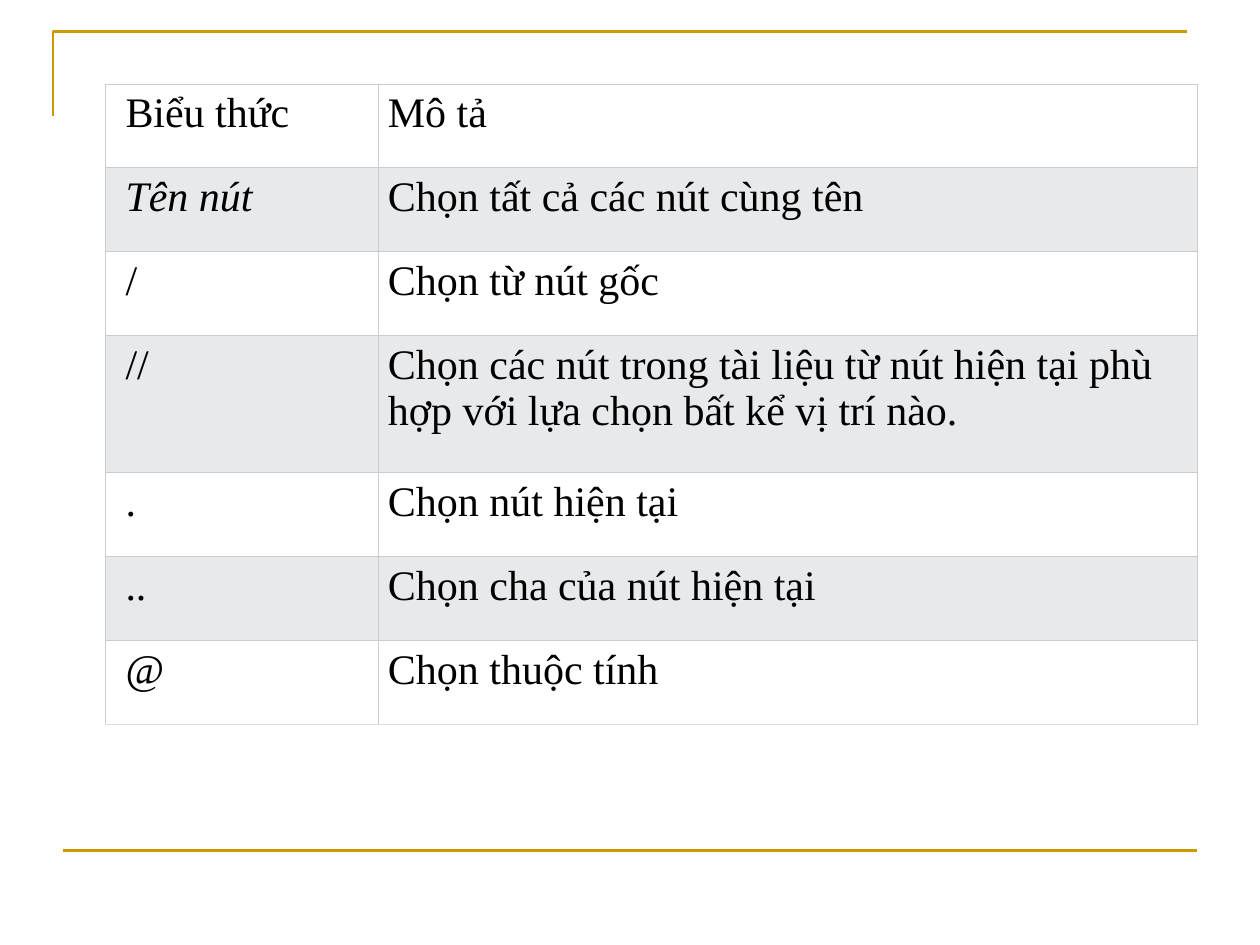
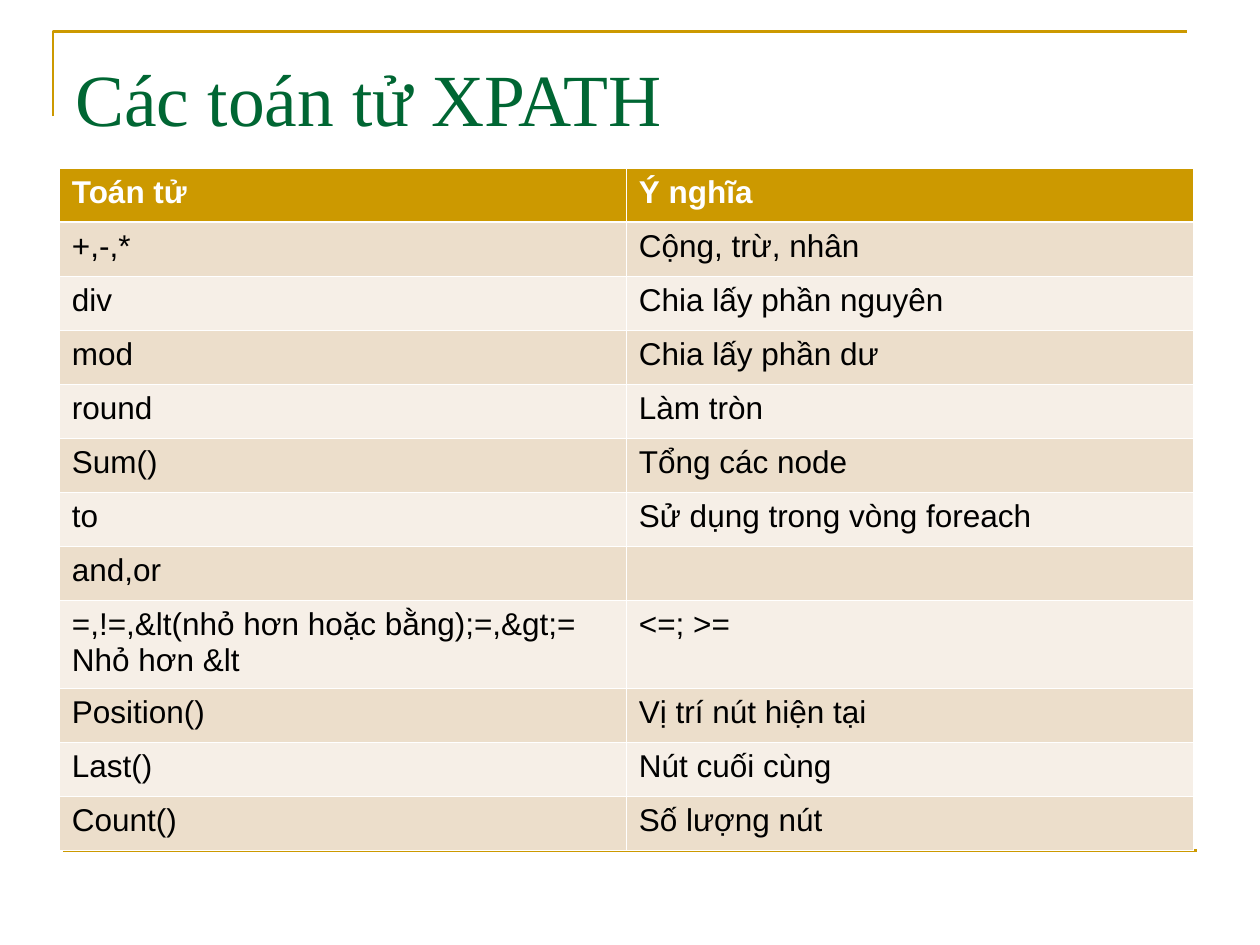
from lxml import etree
from pptx import Presentation
from pptx.dml.color import RGBColor
from pptx.enum.shapes import MSO_CONNECTOR
from pptx.enum.text import MSO_ANCHOR
from pptx.oxml.ns import qn
from pptx.util import Cm, Pt

STRAIGHT = MSO_CONNECTOR.STRAIGHT
BOTTOM = MSO_ANCHOR.BOTTOM
BLANK = 6
SERIF = "Times New Roman"
SANS = "Arial"

COLORS = {
    "gold": "CC9900",
    "green": "006633",
    "black": "000000",
    "white": "FFFFFF",
    "grey": "E7E9EB",
    "rule": "CCCCCC",
    "edge": "DDDDDD",
    "sand": "ECDECB",
    "cream": "F6EFE7",
}

PATHS = [
    ("Biểu thức", "Mô tả"),
    ("Tên nút", "Chọn tất cả các nút cùng tên"),
    ("/", "Chọn từ nút gốc"),
    ("//", "Chọn các nút trong tài liệu từ nút hiện tại phù hợp với lựa chọn bất kể vị trí nào."),
    (".", "Chọn nút hiện tại"),
    ("..", "Chọn cha của nút hiện tại"),
    ("@", "Chọn thuộc tính"),
]

SIGNS = [
    ("Toán tử", "Ý nghĩa"),
    ("+,-,*", "Cộng, trừ, nhân"),
    ("div", "Chia lấy phần nguyên"),
    ("mod", "Chia lấy phần dư"),
    ("round", "Làm tròn"),
    ("Sum()", "Tổng các node"),
    ("to", "Sử dụng trong vòng foreach"),
    ("and,or", ""),
    ("=,!=,&lt(nhỏ hơn hoặc bằng);=,&gt;=\nNhỏ hơn &lt", "<=; >="),
    ("Position()", "Vị trí nút hiện tại"),
    ("Last()", "Nút cuối cùng"),
    ("Count()", "Số lượng nút"),
]


def rgb(name):
    return RGBColor.from_string(COLORS[name])


def style(frame, font, size, color, bold=False, italic=False):
    for para in frame.paragraphs:
        for run in para.runs:
            run.font.name = font
            run.font.size = Pt(size)
            run.font.color.rgb = rgb(color)
            run.font.bold = bold
            run.font.italic = italic


def ink(line):
    line.color.rgb = rgb("gold")
    line.width = Pt(1.5)


def add_frame(slide):
    pen = slide.shapes.build_freeform(Cm(1.07), Cm(2.34))
    pen.add_line_segments([(Cm(1.07), Cm(0.64)), (Cm(23.93), Cm(0.64))], close=False)
    angle = pen.convert_to_shape()
    angle.fill.background()
    angle.shadow.inherit = False
    ink(angle.line)
    foot = slide.shapes.add_connector(STRAIGHT, Cm(1.27), Cm(17.15), Cm(24.13), Cm(17.15))
    etree.SubElement(foot._element.spPr, qn("a:effectLst"))
    ink(foot.line)


def add_title(slide, text):
    box = slide.shapes.add_textbox(Cm(1.27), Cm(0.84), Cm(22.86), Cm(2))
    frame = box.text_frame
    frame.word_wrap = True
    frame.vertical_anchor = BOTTOM
    frame.margin_bottom = 0
    frame.text = text
    style(frame, SERIF, 42, "green")


def set_edge(cell, side, color, width):
    props = cell._tc.get_or_add_tcPr()
    line = etree.SubElement(props, qn(f"a:ln{side}"), w=str(Pt(width)))
    fill = etree.SubElement(line, qn("a:solidFill"))
    etree.SubElement(fill, qn("a:srgbClr"), val=COLORS[color])


def set_cell(cell, text, fill, edges, pads):
    for side, (color, width) in edges.items():
        set_edge(cell, side, color, width)
    cell.fill.solid()
    cell.fill.fore_color.rgb = rgb(fill)
    cell.margin_left, cell.margin_right = map(Cm, pads)
    cell.margin_top = cell.margin_bottom = Cm(0.13)
    cell.text_frame.text = text


def add_grid(slide, data, left, top, widths, heights):
    shape = slide.shapes.add_table(
        len(data), len(widths), Cm(left), Cm(top), Cm(sum(widths)), Cm(sum(heights)))
    grid = shape.table
    grid.first_row = grid.horz_banding = False
    for col, width in zip(grid.columns, widths):
        col.width = Cm(width)
    for row, height in zip(grid.rows, heights):
        row.height = Cm(height)
    return grid


def add_paths(slide):
    tall = 3
    heights = [2.77 if r == tall else 1.69 for r in range(len(PATHS))]
    grid = add_grid(slide, PATHS, 2.12, 1.69, [5.5, 16.51], heights)
    for r, row in enumerate(PATHS):
        edges = dict.fromkeys("LRTB", ("rule", 0.34))
        if r == len(PATHS) - 1:
            edges["B"] = ("edge", 0.34)
        for c, text in enumerate(row):
            cell = grid.cell(r, c)
            pads = (0.2 if c else 0.41, 0.2)
            set_cell(cell, text, "grey" if r % 2 else "white", edges, pads)
            style(cell.text_frame, SERIF, 24, "black", italic=(r, c) == (1, 0))


def add_signs(slide):
    heights = [1.77 if "\n" in row[0] else 1.09 for row in SIGNS]
    grid = add_grid(slide, SIGNS, 1.2, 3.39, [11.43, 11.43], heights)
    for r, row in enumerate(SIGNS):
        head = r == 0
        fill = "gold" if head else "sand" if r % 2 else "cream"
        edges = dict.fromkeys("LRTB", ("white", 0.45))
        if r < 2:
            edges["B" if head else "T"] = ("white", 1.47)
        for c, text in enumerate(row):
            cell = grid.cell(r, c)
            set_cell(cell, text, fill, edges, (0.25, 0.25))
            style(cell.text_frame, SANS, 18, "white" if head else "black", bold=head)


def main():
    deck = Presentation()
    deck.slide_width, deck.slide_height = Cm(25.4), Cm(19.05)
    first, second = [deck.slides.add_slide(deck.slide_layouts[BLANK]) for _ in range(2)]
    for slide in (first, second):
        add_frame(slide)
    add_paths(first)
    add_signs(second)
    add_title(second, "Các toán tử XPATH")
    deck.save("out.pptx")


if __name__ == "__main__":
    main()
